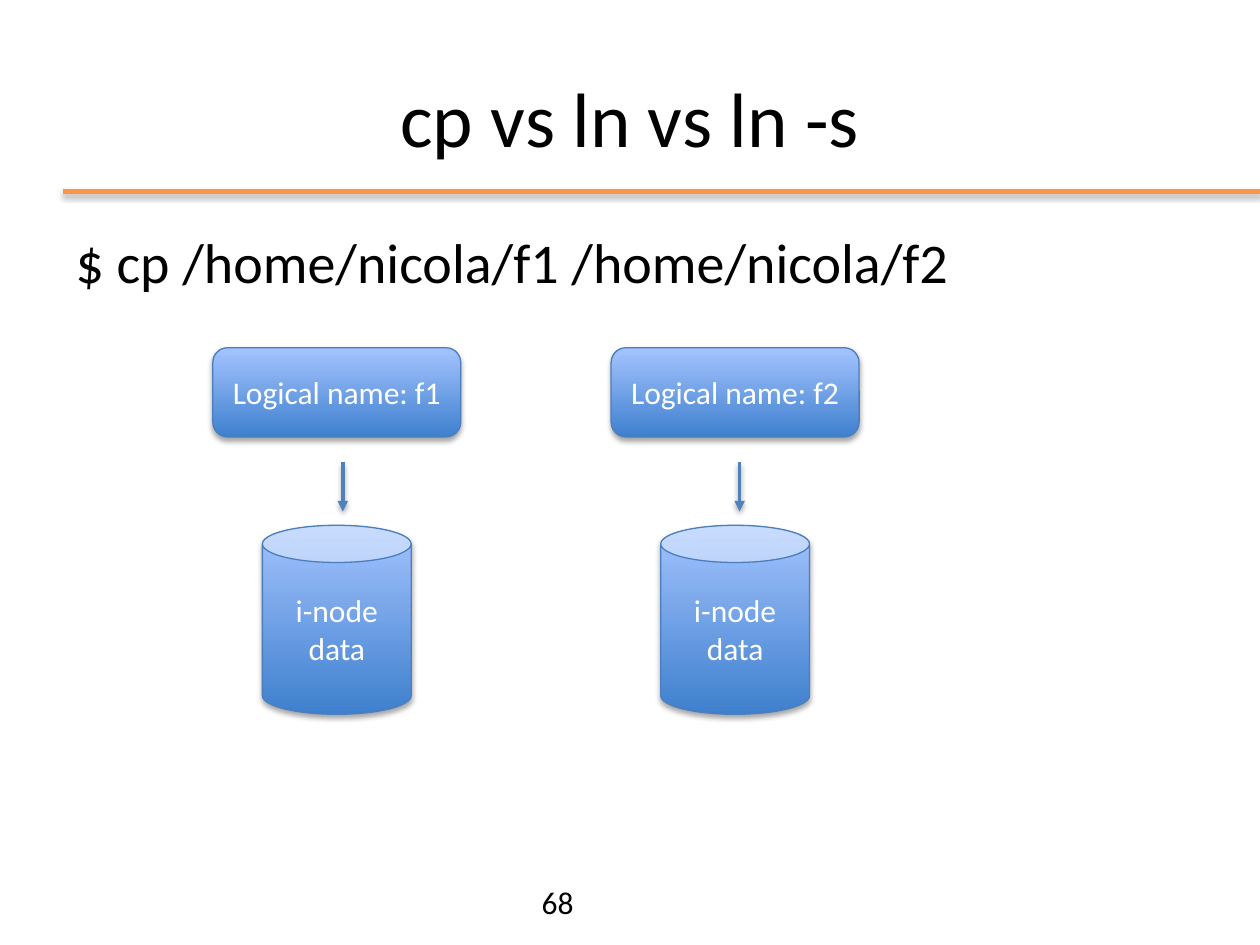
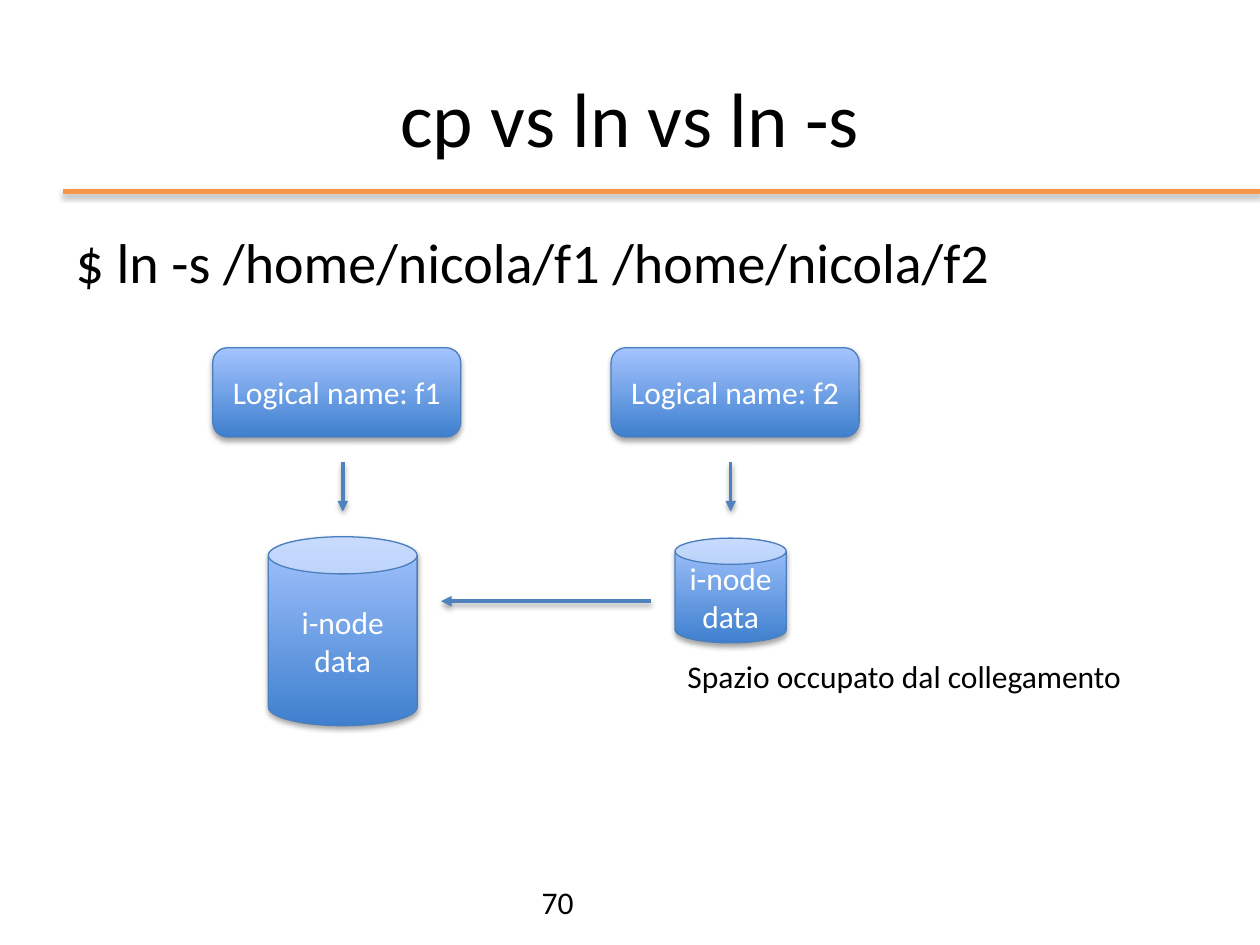
from lxml import etree
from pptx import Presentation
from pptx.dml.color import RGBColor
from pptx.enum import shapes, text
from pptx.oxml import ns
from pptx.util import Cm, Pt

BLACK, WHITE, ORANGE = "000000", "FFFFFF", "F79646"
ARROW_BLUE, EDGE_BLUE = "4F81BD", "4B7EBC"
DEEP_BLUE, PALE_BLUE = "3F80CE", "A4C4FF"

# Centimetres
WIDTH, HEIGHT = 25.4, 19.05
MARGIN = 1.27
COLUMN_W = WIDTH - 2 * MARGIN
NAME_W, NAME_H, NAME_TOP = 5, 1.8, 7.01
NAME_LEFTS = (4.29, 12.32)
ARROW_TOP, ARROW_BOTTOM = 9.32, 10.31
CAN_W, CAN_H = 3, 3.81


def color(value):
    return RGBColor.from_string(value)


def lengths(*values):
    return [Cm(v) for v in values]


def add_xml(parent, tag, **attrs):
    return etree.SubElement(parent, ns.qn(tag), attrs)


class Deck:
    FONT = "Calibri"

    def __init__(self):
        self.prs = Presentation()
        self.prs.slide_width, self.prs.slide_height = lengths(WIDTH, HEIGHT)
        self.s = None

    def slide(self, title, command, number):
        self.s = self.prs.slides.add_slide(self.prs.slide_layouts[1])
        self.line(MARGIN, 3.86, WIDTH, 3.86, ORANGE, 3)
        heading, body = self.s.placeholders
        self.place(heading, MARGIN, 0.76, COLUMN_W, 3.18)
        heading.text_frame.vertical_anchor = text.MSO_ANCHOR.MIDDLE
        self.add_lines(heading.text_frame, [title], 44,
                       align=text.PP_ALIGN.CENTER)
        self.place(body, MARGIN, 4.45, COLUMN_W, 12.57)
        pPr = body.text_frame.paragraphs[0]._p.get_or_add_pPr()
        pPr.set("marL", "0")
        pPr.set("indent", "0")
        add_xml(pPr, "a:buNone")
        body.text_frame.paragraphs[0].space_before = Pt(0)
        self.add_lines(body.text_frame, [command], 32)
        self.label(str(number), 10.67, 17.68, 13.46, 1.02)

    def place(self, sp, *box):
        sp.left, sp.top, sp.width, sp.height = lengths(*box)
        sp.text_frame.auto_size = text.MSO_AUTO_SIZE.NONE

    def add_lines(self, tf, lines, size=18, fill=BLACK, align=None):
        for i, line in enumerate(lines):
            p = tf.add_paragraph() if i else tf.paragraphs[0]
            if align is not None:
                p.alignment = align
            r = p.add_run()
            r.text = line
            r.font.name, r.font.size = self.FONT, Pt(size)
            r.font.color.rgb = color(fill)

    def label(self, words, left, top, width, height, wrap=True):
        sp = self.s.shapes.add_textbox(*lengths(left, top, width, height))
        sp.text_frame.word_wrap = wrap
        self.add_lines(sp.text_frame, [words])

    def shadow(self, sp):
        """Soft shadow falling straight down; call after the line is set."""
        effects = add_xml(sp._element.spPr, "a:effectLst")
        outer = add_xml(effects, "a:outerShdw", blurRad=str(Pt(3.1)),
                        dist=str(Pt(1.8)), dir="5400000", rotWithShape="0")
        tone = add_xml(outer, "a:srgbClr", val=BLACK)
        add_xml(tone, "a:alpha", val="35000")

    def line(self, x1, y1, x2, y2, stroke, width):
        ln = self.s.shapes.add_connector(
            shapes.MSO_CONNECTOR.STRAIGHT, *lengths(x1, y1, x2, y2))
        ln.line.color.rgb = color(stroke)
        ln.line.width = Pt(width)
        self.shadow(ln)
        return ln

    def arrow(self, x1, y1, x2, y2):
        ln = self.line(x1, y1, x2, y2, ARROW_BLUE, 2)
        add_xml(ln._element.spPr.find(ns.qn("a:ln")), "a:tailEnd",
                type="triangle")

    def down_arrow(self, x):
        self.arrow(x, ARROW_TOP, x, ARROW_BOTTOM)

    def glossy(self, kind, lines, *box):
        """Preset shape with the blue gradient and centred white text."""
        sp = self.s.shapes.add_shape(kind, *lengths(*box))
        sp.fill.gradient()
        sp.fill.gradient_angle = 90
        for stop, tone in zip(sp.fill.gradient_stops, (DEEP_BLUE, PALE_BLUE)):
            stop.color.rgb = color(tone)
        sp.line.color.rgb = color(EDGE_BLUE)
        sp.line.width = Pt(0.75)
        self.shadow(sp)
        tf = sp.text_frame
        tf.word_wrap = True
        tf.vertical_anchor = text.MSO_ANCHOR.MIDDLE
        self.add_lines(tf, lines, fill=WHITE, align=text.PP_ALIGN.CENTER)

    def names(self):
        for i, left in enumerate(NAME_LEFTS, 1):
            self.glossy(shapes.MSO_SHAPE.ROUNDED_RECTANGLE,
                        [f"Logical name: f{i}"], left, NAME_TOP, NAME_W, NAME_H)

    def inode(self, left, top, width=CAN_W, height=CAN_H):
        self.glossy(shapes.MSO_SHAPE.CAN, ["i-node", "data"],
                    left, top, width, height)


def main():
    deck = Deck()
    title = "cp vs ln vs ln -s"

    deck.slide(title, "$ cp /home/nicola/f1 /home/nicola/f2", 68)
    deck.names()
    for name_left, arrow_x in zip(NAME_LEFTS, (6.91, 14.91)):
        deck.inode(name_left + (NAME_W - CAN_W) / 2, 10.59)
        deck.down_arrow(arrow_x)

    deck.slide(title, "$ ln -s /home/nicola/f1 /home/nicola/f2", 70)
    deck.names()
    deck.inode(5.41, 10.82)
    deck.inode(13.61, 10.85, 2.24, 2.11)
    for arrow_x in (6.91, 14.73):
        deck.down_arrow(arrow_x)
    deck.arrow(13.13, 12.12, 8.89, 12.12)
    deck.label("Spazio occupato dal collegamento", 13.61, 13.13, 9.35, 1.02,
               wrap=False)

    deck.prs.save("out.pptx")


if __name__ == "__main__":
    main()
